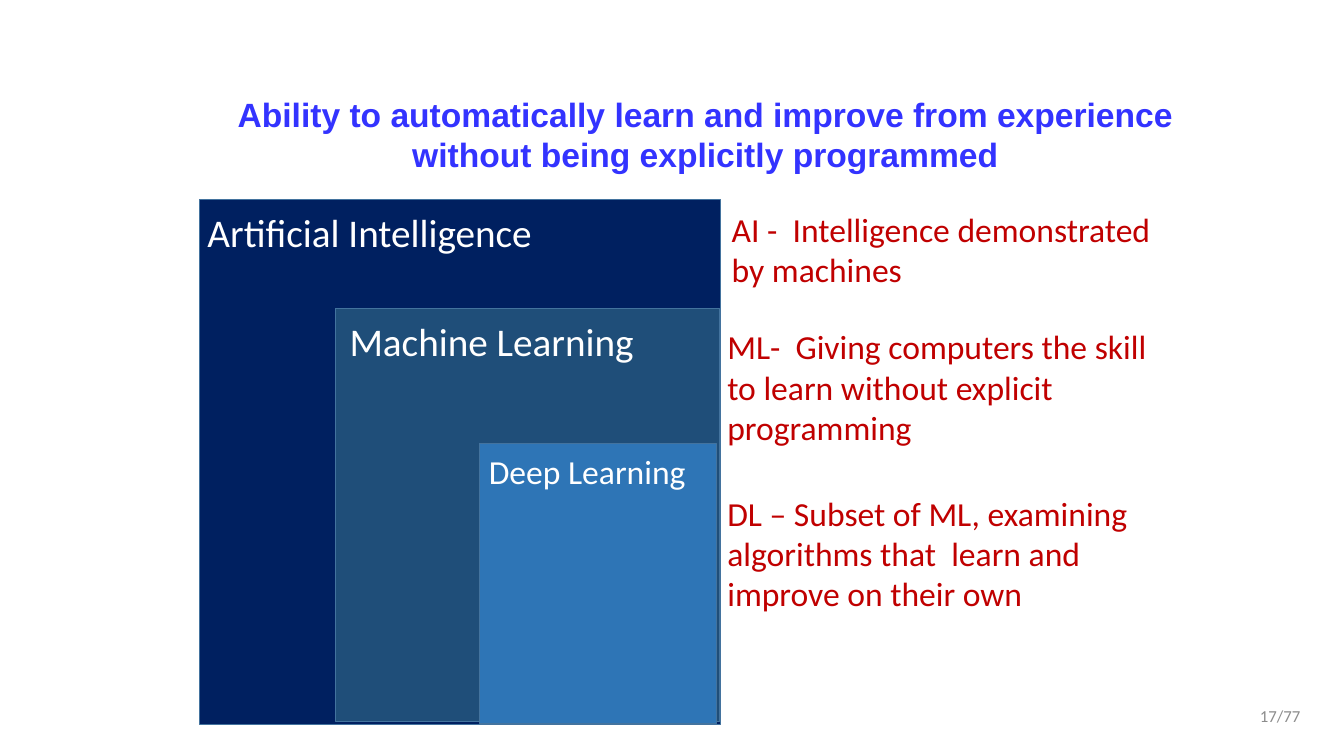
from pptx import Presentation
from pptx.dml.color import RGBColor
from pptx.enum.shapes import MSO_SHAPE
from pptx.enum.text import MSO_ANCHOR, PP_ALIGN
from pptx.util import Cm, Pt

RECT = MSO_SHAPE.RECTANGLE
TOP, MIDDLE = MSO_ANCHOR.TOP, MSO_ANCHOR.MIDDLE
LEFT, CENTER, RIGHT = PP_ALIGN.LEFT, PP_ALIGN.CENTER, PP_ALIGN.RIGHT

COLORS = {
    "title": "3333FF",
    "navy": "002060",
    "teal": "1F4E79",
    "blue": "2E75B6",
    "edge": "43739E",
    "label": "FFFFFF",
    "note": "C00000",
    "page": "8C8C8C",
}


class Deck:
    """Holds the style and the current slide."""

    def __init__(self, slide, font="Calibri"):
        self.slide = slide
        self.font = font

    def color(self, name):
        return RGBColor.from_string(COLORS[name])

    def box(self, area, fill):
        shape = self.slide.shapes.add_shape(RECT, *map(Cm, area))
        shape.shadow.inherit = False
        shape.fill.solid()
        shape.fill.fore_color.rgb = self.color(fill)
        shape.line.color.rgb = self.color("edge")
        shape.line.width = Pt(1)

    def text(self, area, words, size, color, align=LEFT, anchor=TOP,
             font=None, bold=False):
        frame = self.slide.shapes.add_textbox(*map(Cm, area)).text_frame
        frame.word_wrap = True
        frame.vertical_anchor = anchor
        frame.text = words
        line = frame.paragraphs[0]
        line.alignment = align
        style = line.runs[0].font
        style.name = font or self.font
        style.size = Pt(size)
        style.bold = bold
        style.color.rgb = self.color(color)


def main():
    show = Presentation()
    show.slide_width, show.slide_height = Cm(33.87), Cm(19.05)
    deck = Deck(show.slides.add_slide(show.slide_layouts[6]))

    # Title
    deck.text((4.29, 2.24, 26.97, 2.31),
              "Ability to automatically learn and improve from experience "
              "without being explicitly programmed",
              24, "title", CENTER, font="Arial", bold=True)

    # Nested fields
    for area, fill in (
        ((5.03, 5.03, 13.13, 13.23), "navy"),
        ((8.46, 7.77, 9.68, 10.41), "teal"),
        ((12.09, 11.18, 5.97, 7.06), "blue"),
    ):
        deck.box(area, fill)

    # Field names
    for area, words, size in (
        ((8.56, 7.87, 7.85, 1.45), "Machine Learning", 28),
        ((4.98, 5.13, 8.92, 1.45), "Artificial Intelligence", 28),
        ((12.07, 11.23, 5.74, 1.27), "Deep Learning", 24),
    ):
        deck.text(area, words, size, "label")

    # Definitions
    for area, words in (
        ((18.19, 5.13, 11.23, 2.31),
         "AI -  Intelligence demonstrated by machines"),
        ((18.08, 8.1, 11.43, 3.33),
         "ML-  Giving computers the skill to learn without explicit "
         "programming"),
        ((18.08, 12.29, 10.97, 3.33),
         "DL – Subset of ML, examining algorithms that  learn and improve "
         "on their own"),
    ):
        deck.text(area, words, 24, "note")

    # Page number
    deck.text((30.91, 17.53, 2.11, 1.02), "17/77", 12, "page", RIGHT, MIDDLE)

    show.save("out.pptx")


if __name__ == "__main__":
    main()
